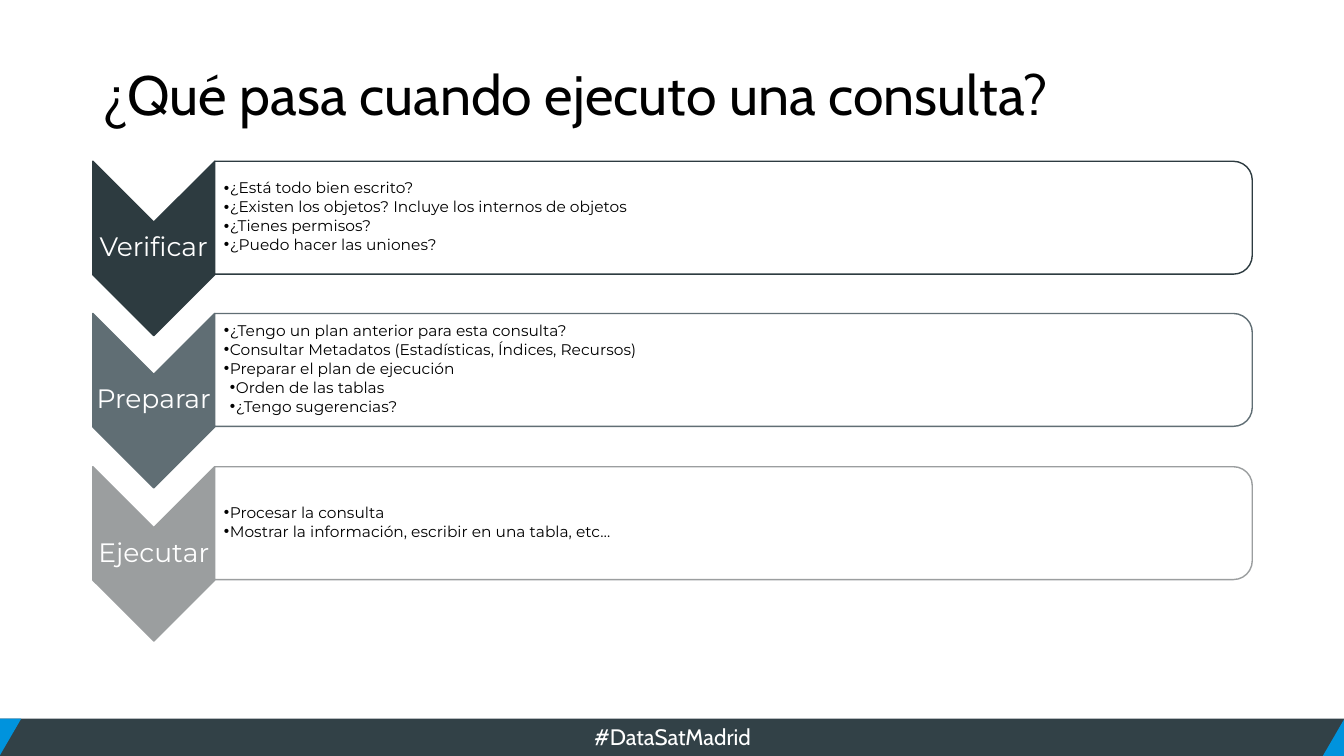
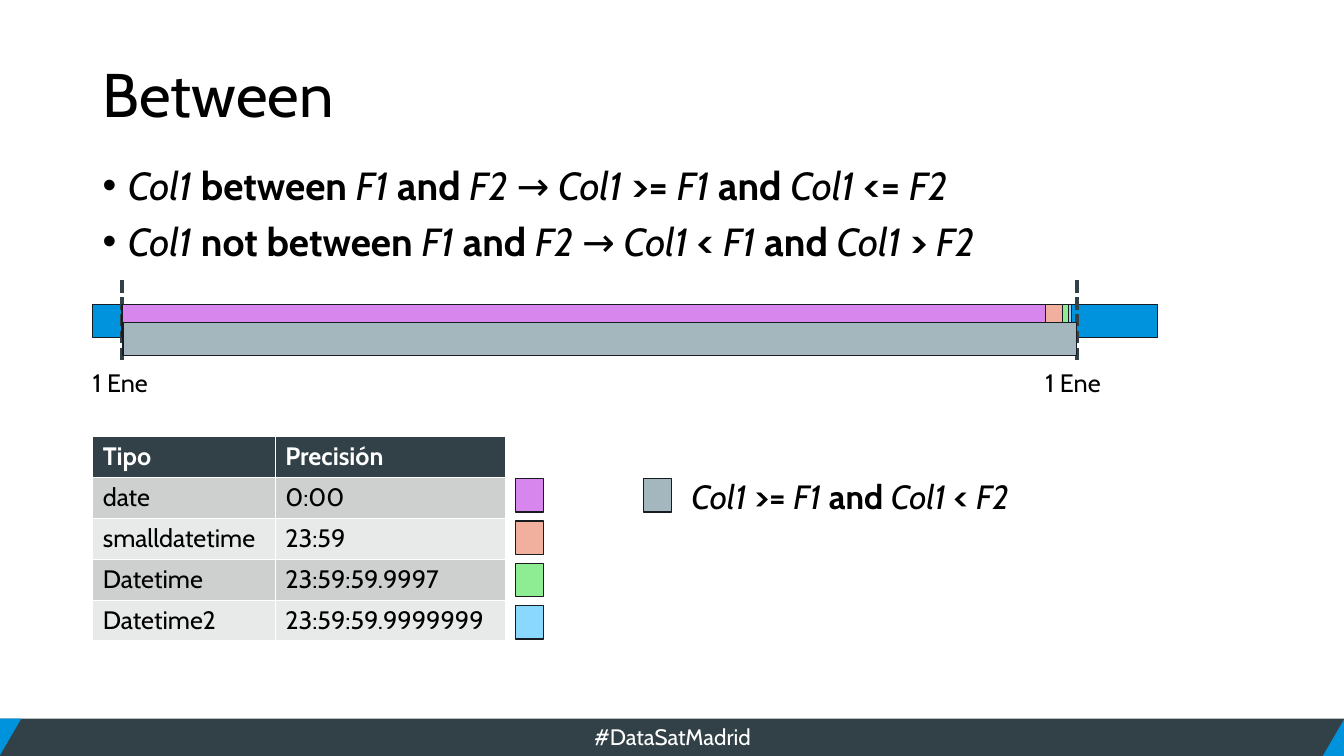
from itertools import groupby

from lxml import etree
from pptx import Presentation
from pptx.dml.color import RGBColor
from pptx.enum.dml import MSO_LINE
from pptx.enum.shapes import MSO_CONNECTOR, MSO_SHAPE as SHAPE
from pptx.enum.text import MSO_ANCHOR as ANCHOR, PP_ALIGN as ALIGN
from pptx.oxml.ns import qn
from pptx.util import Pt

# Shared look: 100 px to the inch
PX = 9144
SLIDE_W, SLIDE_H = 1333, 750
FOOTER_TOP, FOOTER_H = 713, 37
HEAD_FONT, STEP_FONT = "Cabin", "Montserrat"

BLACK = RGBColor(0x00, 0x00, 0x00)
WHITE = RGBColor(0xFF, 0xFF, 0xFF)
SLATE = RGBColor(0x32, 0x41, 0x47)
BLUE = RGBColor(0x00, 0x93, 0xDD)
INK = RGBColor(0x16, 0x1C, 0x1F)
SKY = RGBColor(0x8B, 0xD8, 0xFF)
GREEN = RGBColor(0x8E, 0xED, 0x93)
SALMON = RGBColor(0xF1, 0xAF, 0x9D)
PURPLE = RGBColor(0xD7, 0x86, 0xED)
STEEL = RGBColor(0xA4, 0xB7, 0xBF)
BAND_DARK = RGBColor(0xCE, 0xCF, 0xCF)
BAND_LIGHT = RGBColor(0xE8, 0xE9, 0xE9)
STEP_COLOURS = (RGBColor(0x2D, 0x3B, 0x40), RGBColor(0x60, 0x6E, 0x74),
                RGBColor(0x9B, 0x9E, 0x9F))

# Content
HASHTAG = "#DataSatMadrid"
QUERY_TITLE = "¿Qué pasa cuando ejecuto una consulta?"
STEPS = [  # name, (indent level, point)
    ("Verificar", [
        (1, "¿Está todo bien escrito?"),
        (1, "¿Existen los objetos? Incluye los internos de objetos"),
        (1, "¿Tienes permisos?"),
        (1, "¿Puedo hacer las uniones?")]),
    ("Preparar", [
        (1, "¿Tengo un plan anterior para esta consulta?"),
        (1, "Consultar Metadatos (Estadísticas, Índices, Recursos)"),
        (1, "Preparar el plan de ejecución"),
        (2, "Orden de las tablas"),
        (2, "¿Tengo sugerencias?")]),
    ("Ejecutar", [
        (1, "Procesar la consulta"),
        (1, "Mostrar la información, escribir en una tabla, etc…")]),
]
BETWEEN_TITLE = "Between"
RULES = ["Col1 between F1 and F2 → Col1 >= F1 and Col1 <= F2",
         "Col1 not between F1 and F2 → Col1 < F1 and Col1 > F2"]
HALF_OPEN_RULE = "Col1 >= F1 and Col1 < F2"
OPERANDS = {"Col1", "F1", "F2"}
PRECISIONS = [("Tipo", "Precisión"), ("date", "0:00"), ("smalldatetime", "23:59"),
              ("Datetime", "23:59:59.9997"), ("Datetime2", "23:59:59.9999999")]
TYPE_COLOURS = (PURPLE, SALMON, GREEN, SKY)
RANGES = [(92, 1148, BLUE), (122, 1063, SKY), (122, 1060, GREEN), (122, 1054, SALMON)]
DATE_RANGE = (121, 1037, PURPLE)
HALF_OPEN_RANGE = (122, 1068, STEEL)
LIMITS = [(121, 82), (1068, 1027)]  # dashed line x, label left
LIMIT_LABEL = "1 Ene"


def px(*lengths):
    return [round(length * PX) for length in lengths]


def add_block(slide, kind, box, fill, line=None, turn=0):
    """Preset shape whose box is given as seen after a turn."""
    left, top, width, height = box
    if turn == 90:
        left, top = left + (width - height) / 2, top + (height - width) / 2
        width, height = height, width
    block = slide.shapes.add_shape(kind, *px(left, top, width, height))
    block.rotation = turn
    block.shadow.inherit = False
    block.fill.solid()
    block.fill.fore_color.rgb = fill
    if line is None:
        block.line.fill.background()
    else:
        block.line.color.rgb = line
        block.line.width = Pt(1)


def style_run(run, size, colour=BLACK, font=HEAD_FONT, bold=False, italic=False):
    run.font.size, run.font.name = Pt(size), font
    run.font.color.rgb = colour
    run.font.bold, run.font.italic = bold, italic


def add_frame(slide, box, anchor=ANCHOR.TOP, insets=(10, 5, 10, 5)):
    frame = slide.shapes.add_textbox(*px(*box)).text_frame
    frame.word_wrap = True
    frame.vertical_anchor = anchor
    (frame.margin_left, frame.margin_top,
     frame.margin_right, frame.margin_bottom) = px(*insets)
    return frame


def add_label(slide, box, text, size, colour=BLACK, font=HEAD_FONT,
              align=ALIGN.LEFT, spacing=1.0, **frame_options):
    paragraph = add_frame(slide, box, **frame_options).paragraphs[0]
    paragraph.text = text
    paragraph.alignment = align
    paragraph.line_spacing = spacing
    style_run(paragraph.runs[0], size, colour, font)


def next_paragraph(frame, index):
    return frame.add_paragraph() if index else frame.paragraphs[0]


def set_bullet(paragraph, margin, hanging):
    properties = paragraph._p.get_or_add_pPr()
    margin, hanging = px(margin, hanging)
    properties.set("marL", str(margin))
    properties.set("indent", str(-hanging))
    etree.SubElement(properties, qn("a:buFont")).set("typeface", "Arial")
    etree.SubElement(properties, qn("a:buChar")).set("char", "•")
    paragraph.line_spacing = 0.9


def word_style(word):
    """Operands are italic, the arrow is plain, operators are bold."""
    return word not in OPERANDS and word != "→", word in OPERANDS


def write_rule(paragraph, rule, size):
    groups = [(style, " ".join(words)) for style, words in groupby(rule.split(), word_style)]
    for index, ((bold, italic), words) in enumerate(groups):
        run = paragraph.add_run()
        run.text = words + (" " if index < len(groups) - 1 else "")
        style_run(run, size, bold=bold, italic=italic)


def new_slide(deck, title, title_size):
    slide = deck.slides.add_slide(deck.slide_layouts[6])
    # Footer band
    add_block(slide, SHAPE.RECTANGLE, (0, FOOTER_TOP, SLIDE_W, FOOTER_H), SLATE)
    add_label(slide, (451, FOOTER_TOP, 432, FOOTER_H), HASHTAG, 16, WHITE,
              align=ALIGN.CENTER)
    for left, turn in ((1312, 0), (-22, 180)):
        add_block(slide, SHAPE.ISOSCELES_TRIANGLE, (left, FOOTER_TOP, 43, FOOTER_H),
                  BLUE, turn=turn)
    # Title
    add_label(slide, (92, 40, 1150, 113), title, title_size, spacing=0.9,
              anchor=ANCHOR.MIDDLE)
    return slide


def build_query_slide(deck):
    slide = new_slide(deck, QUERY_TITLE, 39.6)
    for index, ((name, points), colour) in enumerate(zip(STEPS, STEP_COLOURS)):
        top = 160 + index * 303 // 2
        # Step chevron
        add_block(slide, SHAPE.CHEVRON, (92, top, 121, 173), colour, colour, turn=90)
        add_label(slide, (92, top + 60, 121, 52), name, 19, WHITE, STEP_FONT,
                  ALIGN.CENTER, 0.9, anchor=ANCHOR.MIDDLE, insets=(1, 1, 1, 1))
        # Step panel
        add_block(slide, SHAPE.ROUND_2_SAME_RECTANGLE, (213, top, 1029, 112),
                  WHITE, colour, turn=90)
        frame = add_frame(slide, (213, top + 5, 1024, 101), ANCHOR.MIDDLE, (9, 1, 1, 1))
        for row, (level, point) in enumerate(points):
            paragraph = next_paragraph(frame, row)
            paragraph.text = point
            set_bullet(paragraph, 6 * level, 6)
            paragraph.space_after = Pt(1.65)
            style_run(paragraph.runs[0], 11, font=STEP_FONT)


def add_range(slide, span, top):
    start, end, colour = span
    add_block(slide, SHAPE.RECTANGLE, (start, top, end - start, 33), colour, INK)


def add_swatch(slide, left, top, colour):
    add_block(slide, SHAPE.RECTANGLE, (left, top, 28, 33), colour, INK)


def add_limit(slide, x, label_left):
    limit = slide.shapes.add_connector(MSO_CONNECTOR.STRAIGHT, *px(x, 278, x, 360))
    limit.line.color.rgb = SLATE
    limit.line.width = Pt(3)
    limit.line.dash_style = MSO_LINE.SQUARE_DOT
    etree.SubElement(limit._element.spPr, qn("a:effectLst"))
    add_label(slide, (label_left, 359, 90, 40), LIMIT_LABEL, 18)


def add_precision_table(slide):
    table = slide.shapes.add_table(len(PRECISIONS), 2, *px(92, 433, 409, 203)).table
    for column, width in zip(table.columns, px(181, 228)):
        column.width = width
    for row, texts in enumerate(PRECISIONS):
        header = row == 0
        fill = SLATE if header else (BAND_LIGHT, BAND_DARK)[row % 2]
        for column, text in enumerate(texts):
            cell = table.cell(row, column)
            cell.text = text
            cell.fill.solid()
            cell.fill.fore_color.rgb = fill
            style_run(cell.text_frame.paragraphs[0].runs[0], 18,
                      WHITE if header else BLACK, bold=header)


def build_between_slide(deck):
    slide = new_slide(deck, BETWEEN_TITLE, 44)
    # Rules
    frame = add_frame(slide, (92, 160, 1150, 115))
    for index, rule in enumerate(RULES):
        paragraph = next_paragraph(frame, index)
        set_bullet(paragraph, 25, 25)
        if index:
            paragraph.space_before = Pt(10)
        write_rule(paragraph, rule, 28)
    # Timeline
    for span in RANGES:
        add_range(slide, span, 302)
    for x, label_left in LIMITS:
        add_limit(slide, x, label_left)
    add_range(slide, DATE_RANGE, 302)
    add_range(slide, HALF_OPEN_RANGE, 320)
    # Table and colour key
    add_precision_table(slide)
    for index, colour in enumerate(TYPE_COLOURS):
        add_swatch(slide, 511, 475 + 42 * index, colour)
    add_swatch(slide, 638, 475, STEEL)
    write_rule(add_frame(slide, (676, 467, 409, 50)).paragraphs[0], HALF_OPEN_RULE, 24)


def main():
    deck = Presentation()
    deck.slide_width, deck.slide_height = px(SLIDE_W, SLIDE_H)
    build_query_slide(deck)
    build_between_slide(deck)
    deck.save("out.pptx")


if __name__ == "__main__":
    main()
